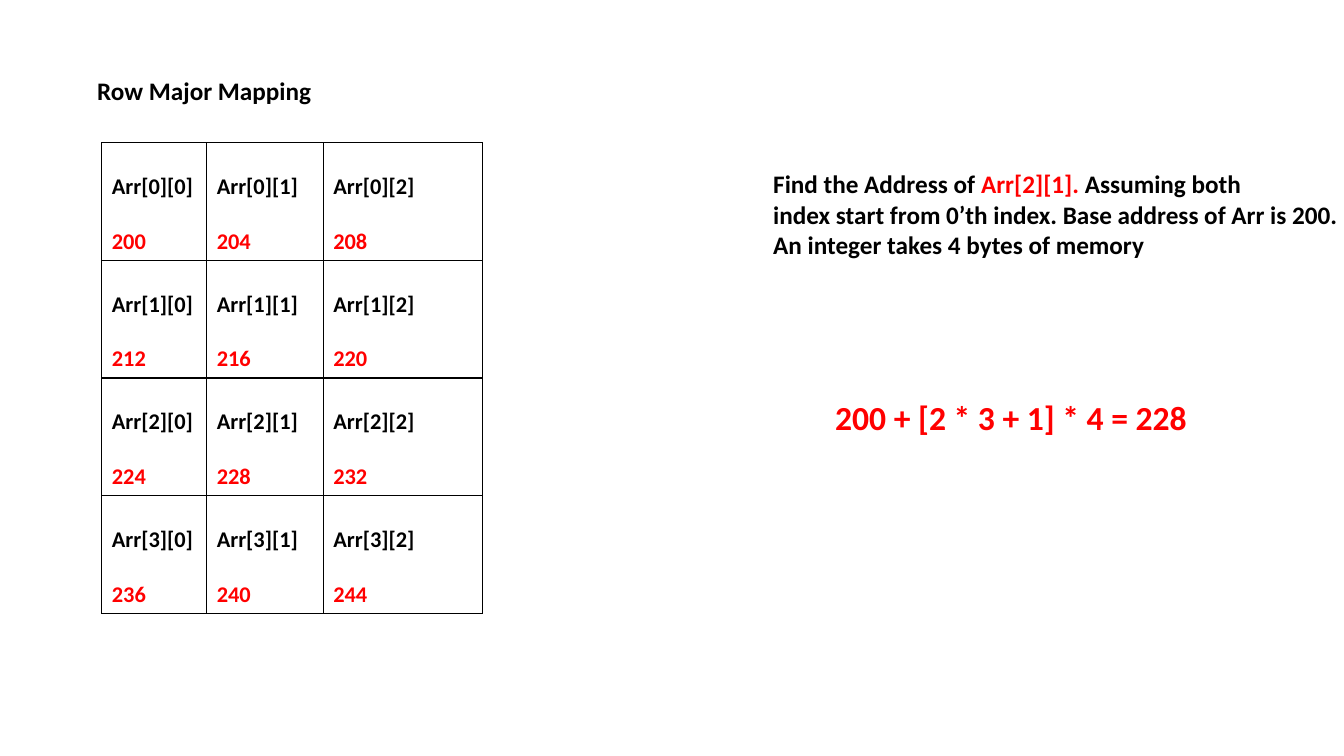
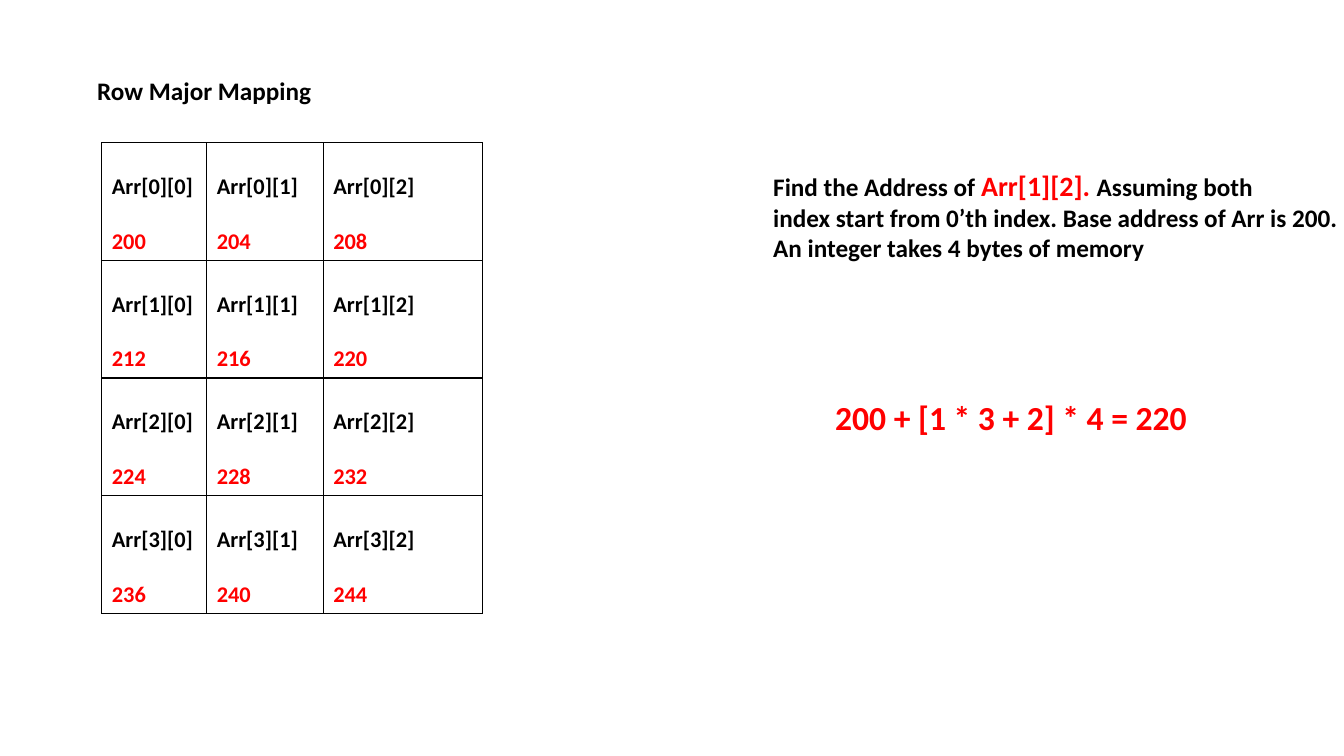
from lxml import etree
from pptx import Presentation
from pptx.dml.color import RGBColor
from pptx.enum.text import MSO_ANCHOR, MSO_AUTO_SIZE, PP_ALIGN
from pptx.oxml.ns import qn
from pptx.util import Pt

PX = 9525
FONT = "Calibri"
COLORS = {"text": "000000", "accent": "FF0000", "border": "000000"}
LEFT = PP_ALIGN.LEFT
TOP, BOTTOM = MSO_ANCHOR.TOP, MSO_ANCHOR.BOTTOM
FIT_SHAPE = MSO_AUTO_SIZE.SHAPE_TO_FIT_TEXT
TITLE_ONLY = 5

BASE_ADDRESS, INT_BYTES = 200, 4
ROW_COUNT, ROW_HEIGHT = 4, 112
COLUMN_WIDTHS = (100, 111, 152)
COLUMN_COUNT = len(COLUMN_WIDTHS)


def px(*lengths):
    return [length * PX for length in lengths]


def color(name):
    return RGBColor.from_string(COLORS[name])


def address(row, column):
    return BASE_ADDRESS + (row * COLUMN_COUNT + column) * INT_BYTES


def style(font, size, color_name="text"):
    font.name, font.size, font.bold = FONT, Pt(size), True
    font.color.rgb = color(color_name)


def add_title(slide, text):
    title = slide.shapes.title
    title.left, title.top, title.width, title.height = px(83, 67, 260, 38)
    frame = title.text_frame
    frame.text = text
    frame.vertical_anchor = TOP
    frame.auto_size = FIT_SHAPE
    heading = frame.paragraphs[0]
    heading.alignment = LEFT
    style(heading.font, 18)


def add_text_frame(slide, left, top, width, height):
    frame = slide.shapes.add_textbox(*px(left, top, width, height)).text_frame
    frame.word_wrap = False
    frame.auto_size = FIT_SHAPE
    return frame


def set_borders(cell):
    properties = cell._tc.get_or_add_tcPr()
    for position, side in enumerate(("lnL", "lnR", "lnT", "lnB")):
        line = etree.Element(qn(f"a:{side}"), w=str(Pt(1)))
        fill = etree.SubElement(line, qn("a:solidFill"))
        etree.SubElement(fill, qn("a:srgbClr"), val=COLORS["border"])
        properties.insert(position, line)


def fill_cell(cell, row, column):
    """Show an element's name above its address."""
    cell.fill.background()
    set_borders(cell)
    cell.vertical_anchor = BOTTOM
    frame = cell.text_frame
    frame.text = f"Arr[{row}][{column}]\n{address(row, column)}"
    element, location = frame.paragraphs
    style(element.font, 16)
    location.space_before = Pt(19.5)
    style(location.font, 16, "accent")


def add_memory_table(slide):
    table = slide.shapes.add_table(
        ROW_COUNT, COLUMN_COUNT,
        *px(97, 136, sum(COLUMN_WIDTHS), ROW_COUNT * ROW_HEIGHT)).table
    table.first_row = table.horz_banding = False
    for column, width in enumerate(COLUMN_WIDTHS):
        table.columns[column].width = width * PX
    for row in range(ROW_COUNT):
        table.rows[row].height = ROW_HEIGHT * PX
        for column in range(COLUMN_COUNT):
            fill_cell(table.cell(row, column), row, column)


def add_question(slide, row, column, target_size):
    frame = add_text_frame(slide, 727, 156, 562, 97)
    frame.text = ("\nindex start from 0’th index. Base address of Arr is "
                  f"{BASE_ADDRESS}.\nAn integer takes {INT_BYTES} bytes of memory")
    for paragraph in frame.paragraphs:
        style(paragraph.font, 18)
    parts = (("Find the Address of ", 18, "text"),
             (f"Arr[{row}][{column}]. ", target_size, "accent"),
             ("Assuming both", 18, "text"))
    for text, size, color_name in parts:
        run = frame.paragraphs[0].add_run()
        run.text = text
        style(run.font, size, color_name)


def add_formula(slide, row, column):
    frame = add_text_frame(slide, 786, 373, 357, 48)
    frame.text = (f"{BASE_ADDRESS} + [{row} * {COLUMN_COUNT} + {column}]"
                  f" * {INT_BYTES} = {address(row, column)}")
    style(frame.paragraphs[0].font, 24, "accent")


def add_example(presentation, row, column, target_size):
    slide = presentation.slides.add_slide(presentation.slide_layouts[TITLE_ONLY])
    add_title(slide, "Row Major Mapping")
    add_memory_table(slide)
    add_question(slide, row, column, target_size)
    add_formula(slide, row, column)


def main():
    presentation = Presentation()
    presentation.slide_width, presentation.slide_height = px(1280, 720)
    add_example(presentation, row=2, column=1, target_size=18)
    add_example(presentation, row=1, column=2, target_size=20)
    presentation.save("out.pptx")


if __name__ == "__main__":
    main()
